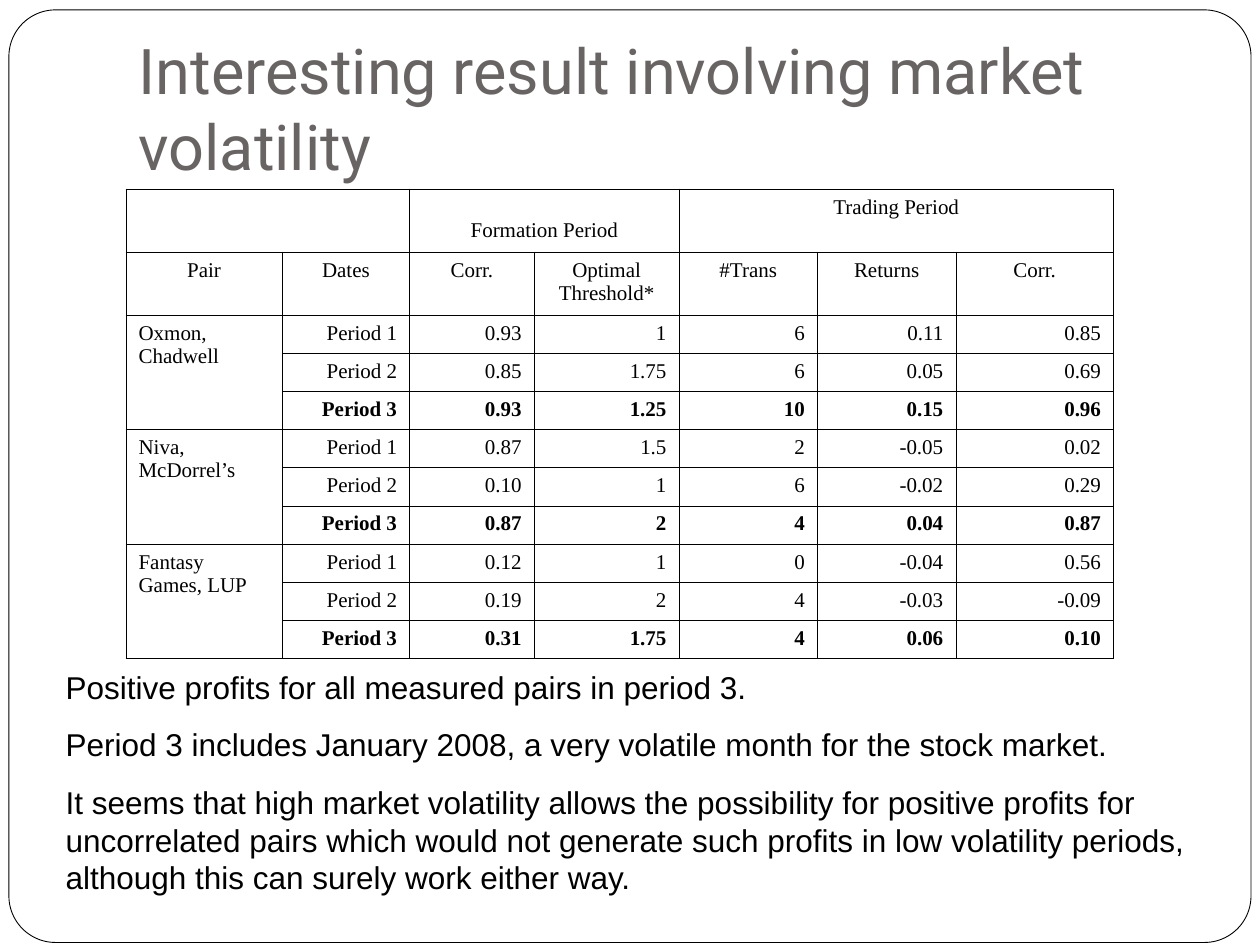
"""Build a slide on pair trading results and market volatility."""
from lxml.etree import SubElement as Sub
from pptx import Presentation as Deck
from pptx.dml.color import RGBColor as Rgb
from pptx.enum.shapes import MSO_SHAPE as Form
from pptx.enum.text import MSO_ANCHOR as Anchor, MSO_AUTO_SIZE as Fit, PP_ALIGN as Align
from pptx.oxml.ns import qn
from pptx.util import Cm, Pt

HUES = {"ink": "000000", "paper": "FFFFFF", "title": "696464"}
TITLE = "Interesting result involving market volatility"
HEADS = ["Pair", "Dates", "Corr.", "Optimal Threshold*", "#Trans", "Returns", "Corr."]
PAIRS = {
    "Oxmon, Chadwell": [
        ["0.93", "1", "6", "0.11", "0.85"],
        ["0.85", "1.75", "6", "0.05", "0.69"],
        ["0.93", "1.25", "10", "0.15", "0.96"],
    ],
    "Niva, McDorrel’s": [
        ["0.87", "1.5", "2", "-0.05", "0.02"],
        ["0.10", "1", "6", "-0.02", "0.29"],
        ["0.87", "2", "4", "0.04", "0.87"],
    ],
    "Fantasy Games, LUP": [
        ["0.12", "1", "0", "-0.04", "0.56"],
        ["0.19", "2", "4", "-0.03", "-0.09"],
        ["0.31", "1.75", "4", "0.06", "0.10"],
    ],
}
NOTES = [
    "Positive profits for all measured pairs in period 3.",
    "Period 3 includes January 2008, a very volatile month for the stock market.",
    "It seems that high market volatility allows the possibility for positive profits for "
    "uncorrelated pairs which would not generate such profits in low volatility periods, "
    "although this can surely work either way.",
]
WIDTHS = [3.15, 2.57, 2.51, 2.92, 2.79, 2.79, 3.18]
TALLS = [1.27] * 2 + [0.77] * 9


class Page:
    """Hold the style and the current slide."""

    def __init__(self, deck):
        self.slide = deck.slides.add_slide(deck.slide_layouts[1])
        self.shapes = self.slide.shapes

    def hue(self, name):
        return Rgb.from_string(HUES[name])

    def style(self, par, face, size, hue="ink", bold=False, align=Align.LEFT):
        par.alignment = align
        for run in par.runs:
            font = run.font
            font.name, font.size, font.bold = face, Pt(size), bold
            font.color.rgb = self.hue(hue)

    def place(self, item, box):
        item.left, item.top, item.width, item.height = map(Cm, box)

    def frame(self, box):
        form = self.shapes.add_shape(Form.ROUNDED_RECTANGLE, *map(Cm, box))
        form.adjustments[0] = 0.05
        form.shadow.inherit = False
        form.fill.solid()
        form.fill.fore_color.rgb = self.hue("paper")
        form.line.color.rgb = self.hue("ink")
        form.line.width = Pt(0.5)
        self.shapes._spTree.insert(2, form._element)

    def title(self, text, box):
        item = self.shapes.title
        self.place(item, box)
        area = item.text_frame
        area.text = text
        area.auto_size = Fit.NONE
        area.vertical_anchor = Anchor.BOTTOM
        area.margin_bottom = Cm(0.25)
        self.style(area.paragraphs[0], "Roboto", 36, "title")

    def body(self, lines, box):
        item = self.slide.placeholders[1]
        self.place(item, box)
        area = item.text_frame
        area.text = "\n".join(lines)
        area.auto_size = Fit.NONE
        for rank, par in enumerate(area.paragraphs):
            prop = par._p.get_or_add_pPr()
            prop.set("marL", "0")
            prop.set("indent", "0")
            Sub(prop, qn("a:buNone"))
            par.space_before = Pt(11.2 if rank else 0)
            self.style(par, "Arial", 18)

    def edge(self, cell):
        prop = cell._tc.get_or_add_tcPr()
        for side in "LRTB":
            line = Sub(prop, qn(f"a:ln{side}"), w=str(Pt(0.45)))
            fill = Sub(line, qn("a:solidFill"))
            Sub(fill, qn("a:srgbClr"), val=HUES["ink"])
        cell.fill.background()

    def label(self, cell, text, align, bold=False):
        cell.text = text
        self.style(cell.text_frame.paragraphs[0], "Times New Roman", 12, bold=bold, align=align)

    def table(self, left, top):
        size = Cm(sum(WIDTHS)), Cm(sum(TALLS))
        grid = self.shapes.add_table(len(TALLS), len(WIDTHS), Cm(left), Cm(top), *size).table
        grid.first_row = grid.horz_banding = False
        for col, wide in zip(grid.columns, WIDTHS):
            col.width = Cm(wide)
        for row, tall in zip(grid.rows, TALLS):
            row.height = Cm(tall)
        for cell in grid.iter_cells():
            self.edge(cell)
        for first, last, text in [(0, 1, ""), (2, 3, "Formation Period"), (4, 6, "Trading Period")]:
            grid.cell(0, first).merge(grid.cell(0, last))
            self.label(grid.cell(0, first), text, Align.CENTER)
        grid.cell(0, 2).margin_top = Cm(0.6)
        for col, text in enumerate(HEADS):
            self.label(grid.cell(1, col), text, Align.CENTER)
        for rank, (pair, rows) in enumerate(PAIRS.items()):
            start = 2 + 3 * rank
            grid.cell(start, 0).merge(grid.cell(start + 2, 0))
            self.label(grid.cell(start, 0), pair, Align.LEFT)
            for step, row in enumerate(rows):
                for col, text in enumerate([f"Period {step + 1}", *row], 1):
                    self.label(grid.cell(start + step, col), text, Align.RIGHT, step == 2)


def main():
    deck = Deck()
    deck.slide_width, deck.slide_height = Cm(25.4), Cm(19.05)
    page = Page(deck)
    page.frame((0.18, 0.2, 25.04, 18.8))
    page.title(TITLE, (2.54, 0.76, 21.59, 3.18))
    page.table(2.54, 3.81)
    page.body(NOTES, (1.07, 13.34, 23.7, 4.88))
    deck.save("out.pptx")


if __name__ == "__main__":
    main()
